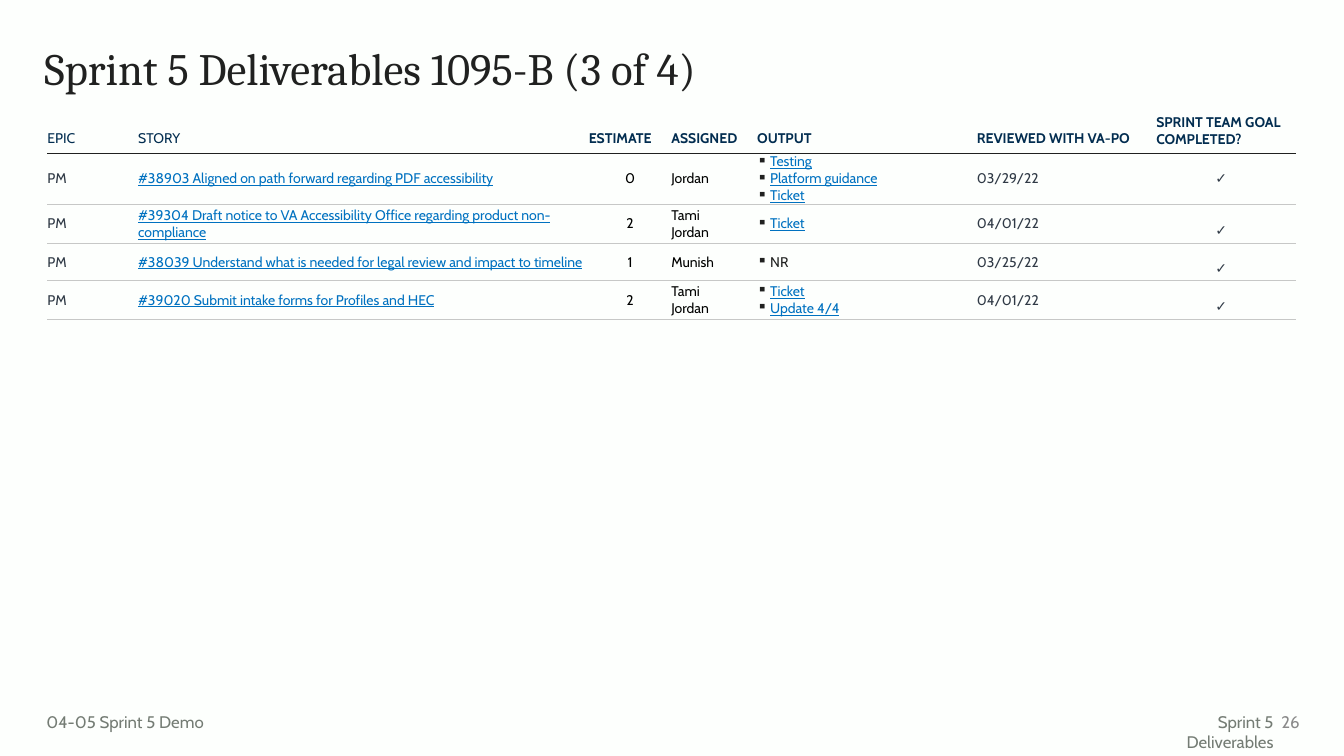
"""Build the Sprint 5 deliverables slide with its story table."""
from dataclasses import dataclass

from lxml.etree import SubElement
from pptx import Presentation
from pptx.dml.color import RGBColor as Rgb
from pptx.enum.text import MSO_ANCHOR as Anchor, MSO_AUTO_SIZE as AutoSize, PP_ALIGN as Align
from pptx.oxml.ns import qn
from pptx.util import Inches, Pt


@dataclass(frozen=True)
class Theme:
    """Colours, fonts and type sizes of the slide."""
    background: str = "FDFFFD"
    ink: str = "202120"
    heading: str = "022D50"
    body: str = "303A46"
    strong: str = "000000"
    link: str = "0071C0"
    rule: str = "C7C8C7"
    footer: str = "747C74"
    page: str = "8A8A8A"
    serif: str = "Cambria"
    sans: str = "Cabin"
    title_size: int = 32
    footer_size: int = 12
    table_size: int = 10


THEME = Theme()
WIDTH, HEIGHT = Inches(13.33), Inches(7.5)
COLUMNS = (6.75, 33.53, 6.15, 6.38, 16.35, 12.6, 11.18)
ROWS = (5.2, 6.8, 5.13, 4.93, 5.13)
HEADINGS = ("EPIC", "STORY", "ESTIMATE", "ASSIGNED", "OUTPUT",
            "REVIEWED WITH VA-PO", "SPRINT TEAM GOAL COMPLETED?")
STORIES = (
    ("#38903 Aligned on path forward regarding PDF accessibility", "0", "Jordan",
     ("Testing", "Platform guidance", "Ticket"), "03/29/22"),
    ("#39304 Draft notice to VA Accessibility Office regarding product non-compliance",
     "2", "Tami Jordan", ("Ticket",), "04/01/22"),
    ("#38039 Understand what is needed for legal review and impact to timeline",
     "1", "Munish", ("NR",), "03/25/22"),
    ("#39020 Submit intake forms for Profiles and HEC", "2", "Tami Jordan",
     ("Ticket", "Update 4/4"), "04/01/22"),
)


def across(share):
    """Return a percentage of the slide width."""
    return int(WIDTH * share / 100)


def down(share):
    """Return a percentage of the slide height."""
    return int(HEIGHT * share / 100)


def area(left, top, width, height):
    """Return a box given in percentages of the slide."""
    return across(left), down(top), across(width), down(height)


def style(paragraph, size, color, face=THEME.sans, bold=False, underline=False):
    """Format every run of a paragraph."""
    for run in paragraph.runs:
        run.font.size, run.font.name = Pt(size), face
        run.font.bold, run.font.underline = bold, underline
        run.font.color.rgb = Rgb.from_string(color)


def add_title(slide, wording):
    """Place and format the title placeholder."""
    title = slide.shapes.title
    title.left, title.top, title.width, title.height = area(2.55, 5.47, 93.17, 10.93)
    frame = title.text_frame
    frame.text = wording
    frame.auto_size, frame.vertical_anchor = AutoSize.NONE, Anchor.TOP
    heading = frame.paragraphs[0]
    heading.alignment, heading.line_spacing = Align.LEFT, 0.9
    style(heading, THEME.title_size, THEME.ink, THEME.serif)


def add_footer(slide, wording, box, color=THEME.footer, align=Align.RIGHT,
               anchor=Anchor.TOP, inset=0.1):
    """Add one line of footer text."""
    frame = slide.shapes.add_textbox(*box).text_frame
    frame.word_wrap, frame.vertical_anchor = True, anchor
    frame.margin_left = Inches(inset)
    frame.text = wording
    frame.paragraphs[0].alignment = align
    style(frame.paragraphs[0], THEME.footer_size, color)


def add_bullet(paragraph):
    """Give a paragraph a small square bullet with a hanging indent."""
    properties = paragraph._p.get_or_add_pPr()
    properties.set("marL", str(Inches(0.13)))
    properties.set("indent", str(-Inches(0.13)))
    shade = SubElement(properties, qn("a:buClr"))
    SubElement(shade, qn("a:srgbClr"), val=THEME.ink)
    SubElement(properties, qn("a:buChar"), char="▪")


def rule_below(cell, color, width):
    """Draw the bottom border of a cell."""
    properties = cell._tc.get_or_add_tcPr()
    line = SubElement(properties, qn("a:lnB"), w=str(Pt(width)))
    fill = SubElement(line, qn("a:solidFill"))
    SubElement(fill, qn("a:srgbClr"), val=color)


def fill_cell(cell, wording, color, insets=(0, 0, 0, 0), align=Align.LEFT,
              anchor=Anchor.MIDDLE, rule=(THEME.rule, 0.5), bulleted=False, **emphasis):
    """Write and format one table cell."""
    rule_below(cell, *rule)
    cell.fill.background()
    cell.vertical_anchor = anchor
    (cell.margin_left, cell.margin_top,
     cell.margin_right, cell.margin_bottom) = map(Inches, insets)
    cell.text_frame.text = wording
    for paragraph in cell.text_frame.paragraphs:
        paragraph.alignment = align
        if bulleted:
            add_bullet(paragraph)
        style(paragraph, THEME.table_size, color, **emphasis)


def fill_headings(cells):
    """Write the heading row."""
    last = len(HEADINGS) - 1
    for column, (cell, heading) in enumerate(zip(cells, HEADINGS)):
        insets = (0.1, 0, 0.1, 0) if column == last else (0, 0.1, 0, 0)
        anchor = Anchor.TOP if column == last else Anchor.MIDDLE
        fill_cell(cell, heading, THEME.heading, insets, anchor=anchor,
                  rule=(THEME.ink, 1), bold=column > 1)


def fill_story(cells, story):
    """Write one story row."""
    epic, name, estimate, assigned, output, reviewed, completed = cells
    wording, points, people, results, date = story
    narrow = (0, 0, 0.4, 0)
    linked = results != ("NR",)
    fill_cell(epic, "PM", THEME.body, narrow)
    fill_cell(name, wording, THEME.link, underline=True)
    fill_cell(estimate, points, THEME.strong, align=Align.CENTER)
    fill_cell(assigned, people, THEME.strong, narrow)
    fill_cell(output, "\n".join(results), THEME.link if linked else THEME.ink,
              bulleted=True, underline=linked)
    fill_cell(reviewed, date, THEME.body)
    fill_cell(completed, "✓", THEME.body, (0, 0.17, 0, 0), Align.CENTER, Anchor.TOP)


def add_deliverables(slide):
    """Add the table of stories."""
    box = area(3.53, 15.07, sum(COLUMNS), sum(ROWS))
    table = slide.shapes.add_table(len(ROWS), len(COLUMNS), *box).table
    table.horz_banding = False
    table._tbl.tblPr.find(qn("a:tableStyleId")).text = "{2D5ABB26-0587-4C30-8999-92F81FD0307C}"
    for column, share in zip(table.columns, COLUMNS):
        column.width = across(share)
    for row, share in zip(table.rows, ROWS):
        row.height = down(share)
    heading_row, *story_rows = table.rows
    fill_headings(heading_row.cells)
    for row, story in zip(story_rows, STORIES):
        fill_story(row.cells, story)


def main():
    """Build and save the slide."""
    deck = Presentation()
    deck.slide_width, deck.slide_height = WIDTH, HEIGHT
    slide = deck.slides.add_slide(deck.slide_layouts[5])
    slide.background.fill.solid()
    slide.background.fill.fore_color.rgb = Rgb.from_string(THEME.background)
    add_title(slide, "Sprint 5 Deliverables 1095-B (3 of 4)")
    add_footer(slide, "26", area(94.15, 92.8, 3.3, 5.33), THEME.page, anchor=Anchor.MIDDLE)
    add_deliverables(slide)
    add_footer(slide, "Sprint 5 Deliverables", area(83.2, 93.47, 12.3, 4))
    add_footer(slide, "04-05 Sprint 5 Demo", area(3.45, 93.47, 22.36, 4),
               align=Align.LEFT, inset=0)
    deck.save("out.pptx")


if __name__ == "__main__":
    main()
